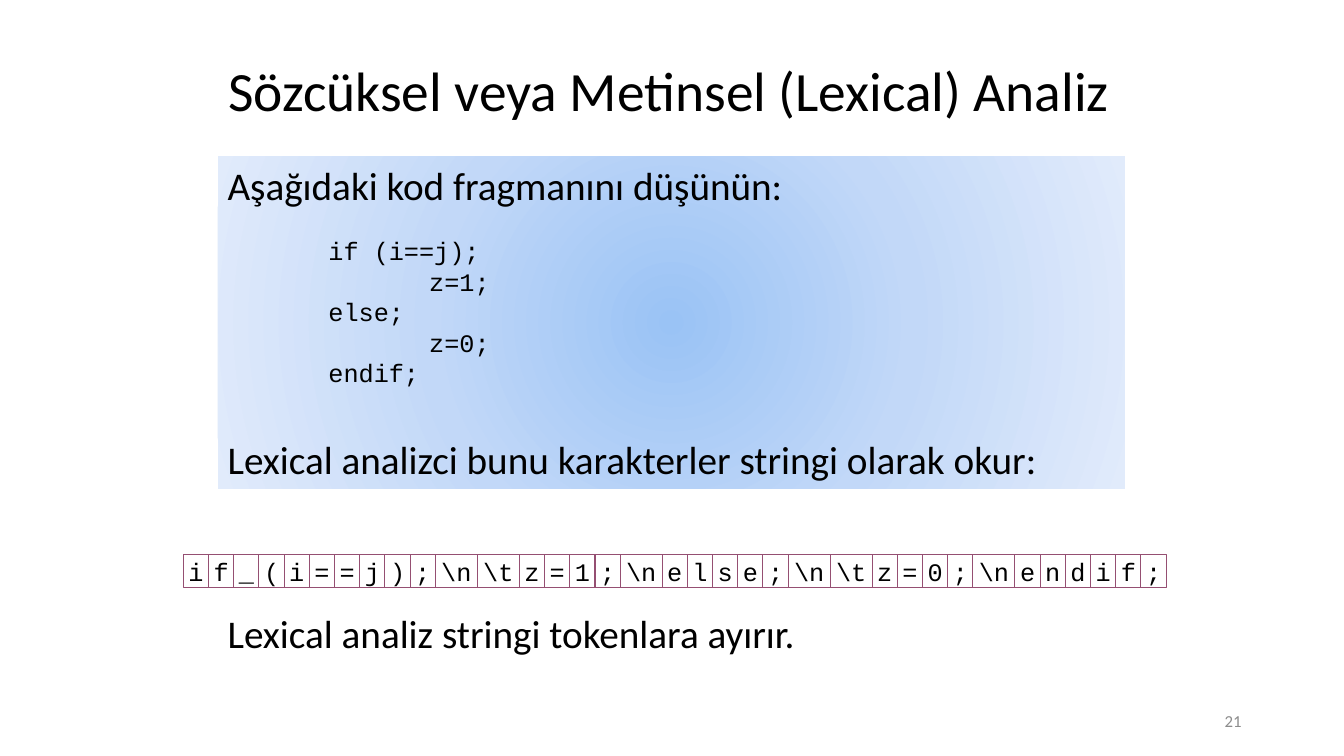
from lxml.etree import SubElement
from pptx import Presentation
from pptx.dml.color import RGBColor
from pptx.enum.shapes import MSO_SHAPE
from pptx.enum.text import MSO_ANCHOR, PP_ALIGN
from pptx.oxml.ns import qn
from pptx.util import Pt

CODE_LINES = [(1, "if (i==j);"), (2, "z=1;"), (1, "else;"), (2, "z=0;"), (1, "endif;")]
CHARACTERS = (r"i f _ ( i = = j ) ; \n \t z = 1 ; \n e l s e ; "
              r"\n \t z = 0 ; \n e n d i f ;").split()
CELL_WIDTHS = {1: 18, 2: 30}
CODE_INDENT = 72


def color(value):
    return RGBColor.from_string(value)


def set_frame(shape, anchor=MSO_ANCHOR.TOP, wrap=True, inset=7.2):
    frame = shape.text_frame
    frame.word_wrap = wrap
    frame.vertical_anchor = anchor
    frame.margin_left = frame.margin_right = Pt(inset)
    frame.margin_top = frame.margin_bottom = Pt(inset / 2)
    return frame


def write(para, text, size=28, font="Calibri", ink="000000", align=PP_ALIGN.LEFT,
          before=0, line=None, indent=0):
    if indent:
        para._p.get_or_add_pPr().set("marL", str(Pt(indent)))
    para.alignment = align
    para.space_before = Pt(before)
    if line:
        para.line_spacing = line
    span = para.add_run()
    span.text = text
    span.font.size = Pt(size)
    span.font.name = font
    span.font.color.rgb = color(ink)


def add_title(page, text):
    title = page.shapes.title
    title.left, title.top, title.width, title.height = Pt(156), Pt(21.6), Pt(648), Pt(90)
    frame = set_frame(title, MSO_ANCHOR.MIDDLE)
    write(frame.paragraphs[0], text, size=39.6, line=0.9)


def add_label(page, text, left, top, width, height, anchor=MSO_ANCHOR.TOP, **style):
    box = page.shapes.add_textbox(Pt(left), Pt(top), Pt(width), Pt(height))
    write(set_frame(box, anchor).paragraphs[0], text, **style)


def add_rectangle(page, left, top, width, height):
    box = page.shapes.add_shape(MSO_SHAPE.RECTANGLE, Pt(left), Pt(top), Pt(width), Pt(height))
    box.shadow.inherit = False
    box.fill.background()
    return box


def fill_radial(shape, stops):
    """Fill a shape from its centre outwards with (percent, colour) stops."""
    properties = shape._element.spPr
    empty_fill = properties.find(qn("a:noFill"))
    gradient = SubElement(properties, qn("a:gradFill"), rotWithShape="1")
    properties.replace(empty_fill, gradient)
    stop_list = SubElement(gradient, qn("a:gsLst"))
    for percent, value in stops:
        stop = SubElement(stop_list, qn("a:gs"), pos=str(percent * 1000))
        SubElement(stop, qn("a:srgbClr"), val=value)
    circle = SubElement(gradient, qn("a:path"), path="circle")
    SubElement(circle, qn("a:fillToRect"), l="50000", t="50000", r="50000", b="50000")


def add_code_panel(page):
    panel = add_rectangle(page, 155.5, 111.6, 648, 237.6)
    panel.line.fill.background()
    fill_radial(panel, [(0, "9AC3F5"), (50, "C2D8F8"), (100, "E1EBFB")])
    frame = set_frame(panel)
    write(frame.paragraphs[0], "Aşağıdaki kod fragmanını düşünün:")
    for number, (depth, code) in enumerate(CODE_LINES):
        write(frame.add_paragraph(), code, size=18, font="Courier New", line=Pt(21.75),
              before=0 if number else 19.5, indent=depth * CODE_INDENT)
    write(frame.add_paragraph(), "Lexical analizci bunu karakterler stringi olarak okur:",
          before=34)


def add_character_row(page, left, top, height):
    for character in CHARACTERS:
        width = CELL_WIDTHS[len(character)]
        cell = add_rectangle(page, left, top, width, height)
        cell.line.color.rgb = color("954F72")
        cell.line.width = Pt(0.75)
        frame = set_frame(cell, MSO_ANCHOR.MIDDLE, wrap=False, inset=0)
        write(frame.paragraphs[0], character, size=18, font="Courier New",
              align=PP_ALIGN.CENTER)
        left += width


def main():
    deck = Presentation()
    deck.slide_width, deck.slide_height = Pt(960), Pt(540)
    page = deck.slides.add_slide(deck.slide_layouts[5])
    add_title(page, "Sözcüksel veya Metinsel (Lexical) Analiz")
    add_label(page, "21", 678, 500.5, 216, 28.75, anchor=MSO_ANCHOR.MIDDLE,
              size=12, ink="8C8C8C", align=PP_ALIGN.RIGHT)
    add_code_panel(page)
    add_character_row(page, 131, 396, 24)
    add_label(page, "Lexical analiz stringi tokenlara ayırır.", 155.5, 432, 655, 41)
    deck.save("out.pptx")


if __name__ == "__main__":
    main()
